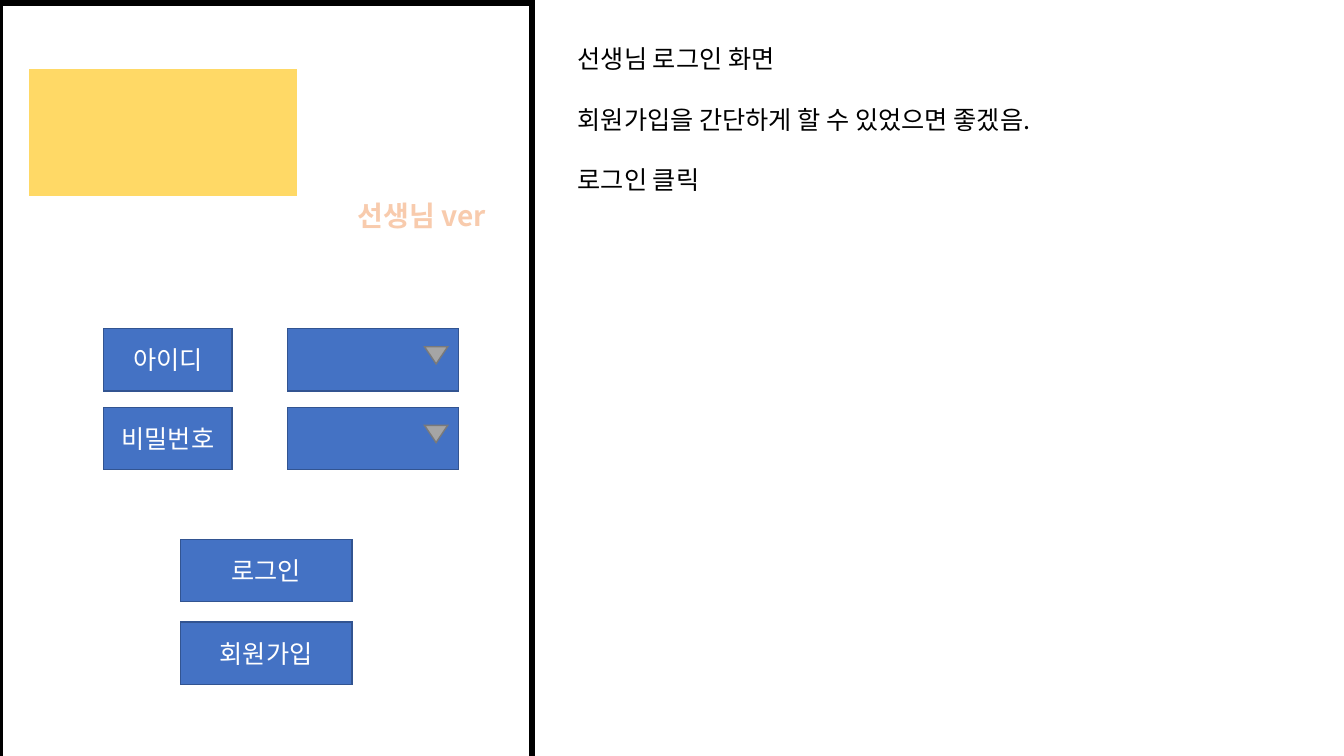
from lxml.etree import SubElement
from pptx import Presentation
from pptx.dml.color import RGBColor
from pptx.enum.shapes import MSO_SHAPE
from pptx.enum.text import MSO_ANCHOR, MSO_AUTO_SIZE, PP_ALIGN
from pptx.oxml.ns import qn
from pptx.util import Inches, Pt

FONT = "Noto Sans CJK KR"
HUES = {
    "white": "FFFFFF", "black": "000000", "blue": "4472C4", "navy": "325491",
    "gray": "A5A5A5", "dark": "7A7A7A", "gold": "FFD966", "peach": "F8CBAD",
}


def hue(name):
    return RGBColor.from_string(HUES[name])


def write(para, text, size=18, color="black", bold=False,
          align=PP_ALIGN.CENTER):
    para.alignment = align
    run = para.add_run()
    run.text = text
    font = run.font
    font.name, font.size, font.bold = FONT, Pt(size), bold
    font.color.rgb = hue(color)
    SubElement(font._element, qn("a:ea"), typeface=FONT)


def block(slide, kind, left, top, wide, high, fill, edge, weight=1):
    shape = slide.shapes.add_shape(
        kind, Inches(left), Inches(top), Inches(wide), Inches(high))
    shape.shadow.inherit = False
    shape.fill.solid()
    shape.fill.fore_color.rgb = hue(fill)
    shape.line.color.rgb = hue(edge)
    shape.line.width = Pt(weight)
    SubElement(shape.line._ln, qn("a:miter"), lim="800000")
    return shape


def button(slide, left, top, wide, text=""):
    shape = block(slide, MSO_SHAPE.RECTANGLE, left, top, wide, 0.62,
                  "blue", "navy")
    if text:
        frame = shape.text_frame
        frame.word_wrap = True
        frame.vertical_anchor = MSO_ANCHOR.MIDDLE
        write(frame.paragraphs[0], text, color="white")


def header(slide, left, top):
    block(slide, MSO_SHAPE.RECTANGLE, left + 0.29, top + 0.66, 2.65, 1.25,
          "gold", "gold")
    box = slide.shapes.add_textbox(
        Inches(left + 3.33), Inches(top + 1.89), Inches(1.71), Inches(0.44))
    box.text_frame.word_wrap = True
    write(box.text_frame.paragraphs[0], "선생님 ver",
          size=20, color="peach", bold=True)


def form(slide, left, top):
    for row, text in enumerate(("아이디", "비밀번호")):
        level = top + row * 0.78
        button(slide, left, level, 1.27, text)
        button(slide, left + 1.82, level, 1.7)
        arrow = block(slide, MSO_SHAPE.ISOSCELES_TRIANGLE, left + 3.18,
                      level + 0.18, 0.23, 0.17, "gray", "dark")
        arrow.rotation = 180


def phone(slide, left, top, wide, high):
    block(slide, MSO_SHAPE.RECTANGLE, left, top, wide, high,
          "white", "black", 4.5)
    header(slide, left, top)
    form(slide, left + 1.03, top + 3.23)
    for row, text in enumerate(("로그인", "회원가입")):
        button(slide, left + (wide - 1.7) / 2, top + 5.32 + row * 0.82,
               1.7, text)


def notes(slide, left, top, wide, high):
    body = slide.placeholders[1]
    body.left, body.top = Inches(left), Inches(top)
    body.width, body.height = Inches(wide), Inches(high)
    frame = body.text_frame
    frame.word_wrap = True
    frame.auto_size = MSO_AUTO_SIZE.NONE
    frame.vertical_anchor = MSO_ANCHOR.TOP
    lines = ("선생님 로그인 화면", "회원가입을 간단하게 할 수 있었으면 좋겠음.",
             "로그인 클릭")
    for row, text in enumerate(lines):
        para = frame.add_paragraph() if row else frame.paragraphs[0]
        props = para._p.get_or_add_pPr()
        props.set("marL", "0")
        props.set("indent", "0")
        SubElement(props, qn("a:buNone"))
        para.line_spacing = 1.0
        para.space_before = Pt(21.6 if row else 0)
        para.space_after = Pt(0)
        write(para, text, align=PP_ALIGN.LEFT)


def main():
    deck = Presentation()
    deck.slide_width, deck.slide_height = Inches(13.33), Inches(7.5)
    slide = deck.slides.add_slide(deck.slide_layouts[1])
    title = slide.shapes.title._element
    title.getparent().remove(title)
    phone(slide, 0, 0.03, 5.28, 7.5)
    notes(slide, 5.63, 0.38, 6.7, 1.62)
    deck.save("out.pptx")


if __name__ == "__main__":
    main()
